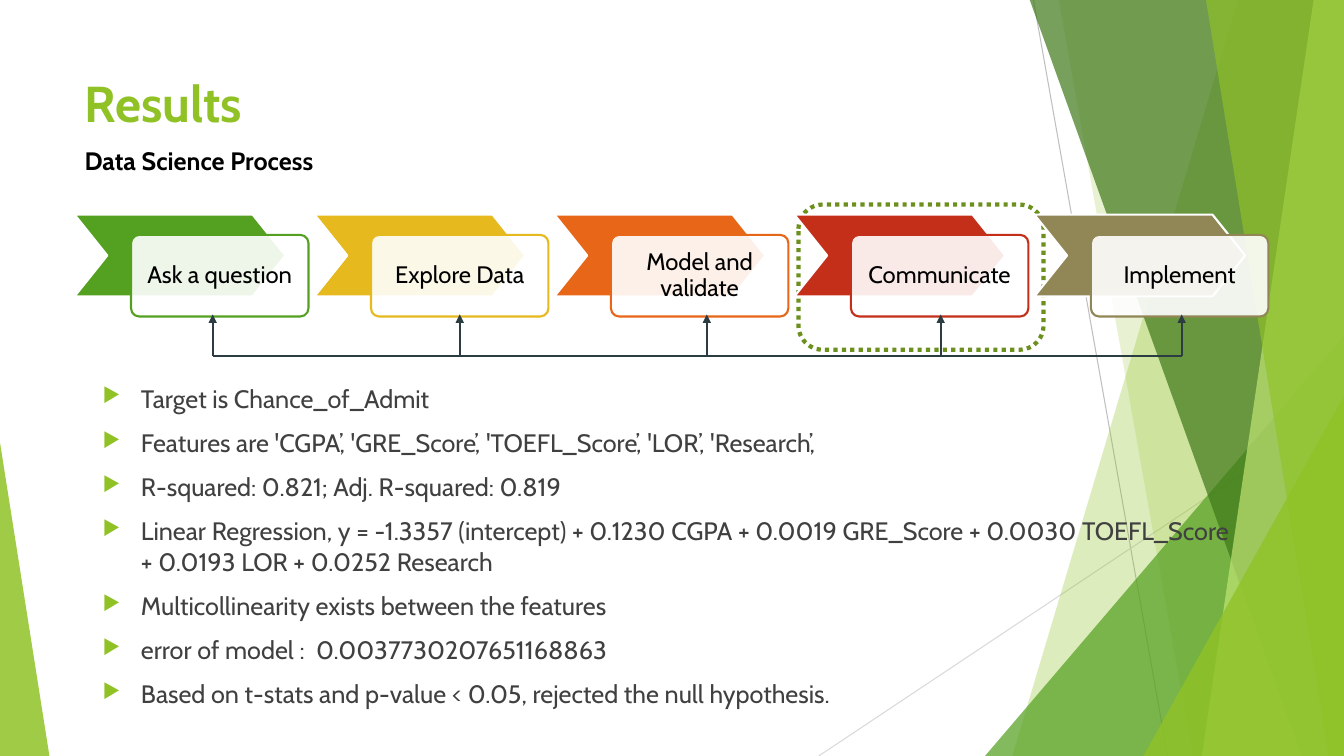
import dataclasses
import lxml.etree
import pptx
import pptx.util
import pptx.dml.color
import pptx.enum.dml
import pptx.enum.shapes
import pptx.enum.text
import pptx.oxml.ns

Inches, Pt = pptx.util.Inches, pptx.util.Pt
RGB = pptx.dml.color.RGBColor.from_string
Shape = pptx.enum.shapes.MSO_SHAPE
Align = pptx.enum.text.PP_ALIGN
Anchor = pptx.enum.text.MSO_ANCHOR
qn = pptx.oxml.ns.qn
child = lxml.etree.SubElement


@dataclasses.dataclass
class Theme:
    font: str = "Cabin"
    lime: str = "90C226"
    green: str = "54A021"
    forest: str = "3F7819"
    pale: str = "C0E474"
    olive: str = "6B901C"
    gold: str = "E6B91E"
    orange: str = "E76618"
    red: str = "C42F1A"
    tan: str = "918655"
    slate: str = "2C3C43"
    white: str = "FFFFFF"
    black: str = "000000"
    text: str = "404040"
    gray: str = "BFBFBF"
    mist: str = "D9D9D9"
    title: int = 36
    body: int = 18
    label: int = 17


theme = Theme()
deck = pptx.Presentation()
deck.slide_width, deck.slide_height = Inches(13.33), Inches(7.5)
slide = deck.slides.add_slide(deck.slide_layouts[5])
shapes = slide.shapes


def draw(kind, place, fill=None, alpha=100, line=None, width=1.5, adj=None):
    """Add a line (two ends), a panel (corner points) or a preset shape (box)."""
    if kind == "line":
        item = shapes.add_connector(pptx.enum.shapes.MSO_CONNECTOR.STRAIGHT,
                                    *map(Inches, place))
        child(item.element.spPr, qn("a:effectLst"))
    else:
        if kind == "panel":
            spots = [(Inches(x), Inches(y)) for x, y in place]
            form = shapes.build_freeform(*spots[0])
            form.add_line_segments(spots[1:], close=True)
            item = form.convert_to_shape()
        else:
            item = shapes.add_shape(kind, *map(Inches, place))
        item.shadow.inherit = False
        if adj is not None:
            item.adjustments[0] = adj
        if fill:
            item.fill.solid()
            item.fill.fore_color.rgb = RGB(fill)
            tint = item.element.spPr.find(qn("a:solidFill"))[0]
            child(tint, qn("a:alpha"), val=str(alpha * 1000))
        else:
            item.fill.background()
    if line:
        item.line.color.rgb = RGB(line)
        item.line.width = Pt(width)
    else:
        item.line.fill.background()
    return item


def write(para, text, size, color, bold=False):
    run = para.add_run()
    run.text = text
    run.font.name, run.font.size, run.font.bold = theme.font, Pt(size), bold
    run.font.color.rgb = RGB(color)


# Backdrop lines and facets
draw("line", (10.25, 0, 11.58, 7.5), line=theme.gray, width=0.75)
draw("line", (13.33, 4.03, 8.12, 7.5), line=theme.mist, width=0.75)

# Panels give their left edge as top x and foot x; wedges give a box and a tip
facets = [
    ((12.28, 10.04), None, theme.lime, 30),
    ((10.5, 11.83), None, theme.lime, 20),
    ((9.77, 3.33, 3.56, 4.17), 1, theme.green, 72),
    ((10.21, 12.91), None, theme.forest, 70),
    ((13.03, 11.92), None, theme.pale, 70),
    ((11.96, 13.18), None, theme.lime, 65),
    ((11.34, 3.93, 1.99, 3.57), 1, theme.lime, 80),
    ((0, 4.39, 0.49, 3.11), 0, theme.lime, 85),
]
for place, tip, color, alpha in facets:
    if tip is None:
        top, foot = place
        edge = [(top, -0.01), (13.33, -0.01), (13.33, 7.5), (foot, 7.5)]
        draw("panel", edge, color, alpha)
    else:
        draw(Shape.ISOSCELES_TRIANGLE, place, color, alpha, adj=tip)

# Title
title = shapes.title
title.left, title.top = Inches(0.74), Inches(0.67)
title.width, title.height = Inches(9.4), Inches(1.44)
frame = title.text_frame
frame.auto_size = pptx.enum.text.MSO_AUTO_SIZE.NONE
frame.vertical_anchor = Anchor.TOP
frame.paragraphs[0].alignment = Align.LEFT
write(frame.paragraphs[0], "Results", theme.title, theme.lime, True)

# Findings
facts = [
    "Target is Chance_of_Admit",
    "Features are 'CGPA’, 'GRE_Score’, 'TOEFL_Score’, 'LOR’, 'Research’,",
    "R-squared: 0.821; Adj. R-squared: 0.819",
    "Linear Regression, y = -1.3357 (intercept) + 0.1230 CGPA + 0.0019 GRE_Score"
    " + 0.0030 TOEFL_Score + 0.0193 LOR + 0.0252 Research",
    "Multicollinearity exists between the features",
    "error of model :  0.0037730207651168863",
    "Based on t-stats and p-value < 0.05, rejected the null hypothesis.",
]
frame = shapes.add_textbox(*map(Inches, (0.92, 3.75, 11.5, 3.58))).text_frame
frame.word_wrap = True
for i, fact in enumerate(facts):
    para = frame.add_paragraph() if i else frame.paragraphs[0]
    para.space_before = Pt(10)
    props = para._p.get_or_add_pPr()
    props.set("marL", str(Inches(0.38)))
    props.set("indent", str(-Inches(0.38)))
    child(child(props, qn("a:buClr")), qn("a:srgbClr"), val=theme.lime)
    child(props, qn("a:buSzPct"), val="80000")
    child(props, qn("a:buChar"), char="▶")
    write(para, fact, theme.body, theme.text)

# Dotted frame around the current step
focus = draw(Shape.ROUNDED_RECTANGLE, (7.92, 2.03, 2.43, 1.44),
             line=theme.olive, width=3)
focus.line.dash_style = pptx.enum.dml.MSO_LINE.ROUND_DOT

# Process steps
steps = [
    ("Ask a question", theme.green),
    ("Explore Data", theme.gold),
    ("Model and validate", theme.orange),
    ("Communicate", theme.red),
    ("Implement", theme.tan),
]
for i, (name, color) in enumerate(steps):
    left = 0.74 + 2.38 * i
    draw(Shape.CHEVRON, (left, 2.13, 2.09, 0.81), color, line=theme.white, adj=0.4)
    card = draw(Shape.ROUNDED_RECTANGLE, (left + 0.56, 2.33, 1.76, 0.81),
                theme.white, 90, color, adj=0.1)
    frame = card.text_frame
    frame.word_wrap = True
    frame.vertical_anchor = Anchor.MIDDLE
    frame.margin_left = frame.margin_right = Inches(0.13)
    frame.margin_top = frame.margin_bottom = Inches(0.13)
    para = frame.paragraphs[0]
    para.alignment, para.line_spacing = Align.CENTER, 0.9
    write(para, name, theme.label, theme.black)

# Process heading
frame = shapes.add_textbox(*map(Inches, (0.74, 1.39, 2.68, 0.4))).text_frame
frame.word_wrap = False
write(frame.paragraphs[0], "Data Science Process", theme.body, theme.black, True)

# Feedback arrows and their base line
stems = [2.11, 4.56, 7.01, 9.33, 11.72]
for x in stems:
    stem = draw("line", (x, 3.53, x, 3.12), line=theme.slate)
    child(stem.element.spPr.find(qn("a:ln")), qn("a:tailEnd"), type="triangle")
draw("line", (stems[0], 3.53, stems[-1], 3.53), line=theme.slate)

deck.save("out.pptx")
